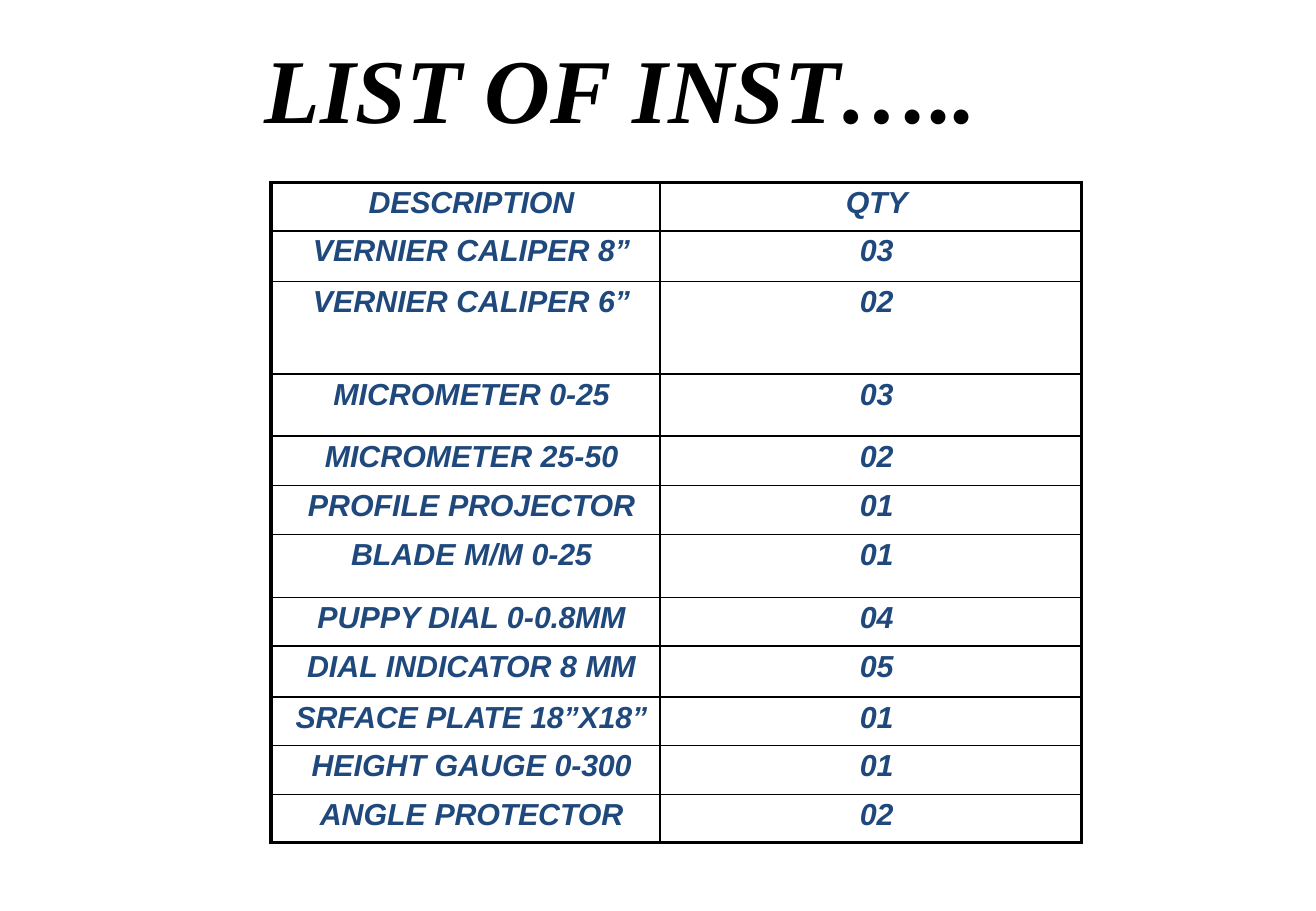
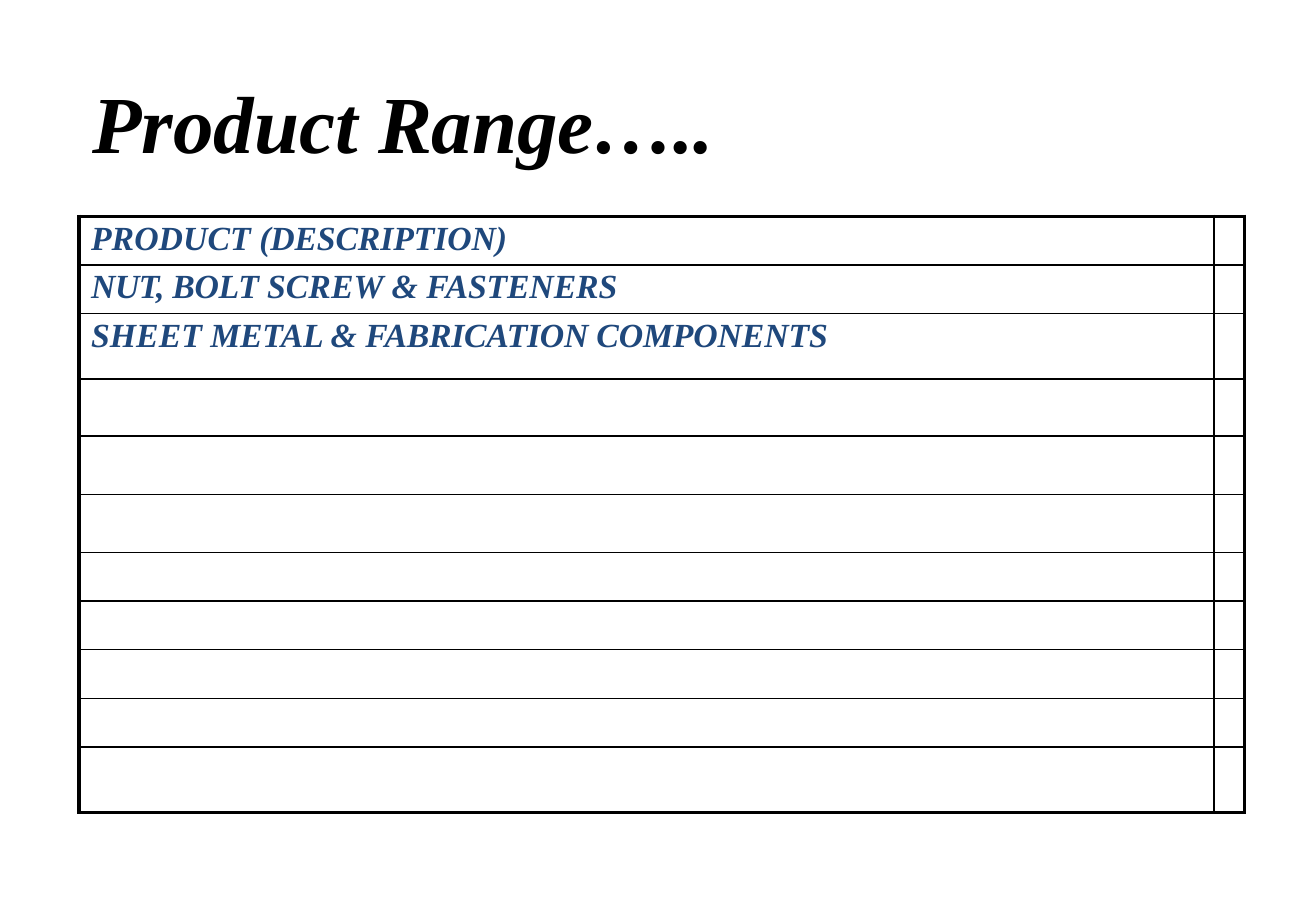
from pptx import Presentation
from pptx.dml.color import RGBColor
from pptx.enum.text import MSO_ANCHOR, PP_ALIGN
from pptx.oxml import parse_xml
from pptx.oxml.ns import nsdecls
from pptx.util import Pt

PX = 9144
BLACK = RGBColor(0x00, 0x00, 0x00)
NAVY = RGBColor(0x1F, 0x48, 0x7C)
SERIF = "Times New Roman"
SANS = "Arial"
OUTER_LINE, INNER_LINE = 2.25, 1

INSTRUMENTS = [
    (40, [("DESCRIPTION", -0.1)], "QTY"),
    (42, [("VERNIER CALIPER ", 0), ("8”", -0.2)], "03"),
    (76, [("VERNIER CALIPER ", 0), ("6”", -0.2)], "02"),
    (51, [("MICROMETER ", 0), ("0-", -0.1), ("25", -0.2)], "03"),
    (41, [("MICROMETER 25-", 0), ("50", -0.2)], "02"),
    (40, [("PROFILE ", 0), ("PROJECTOR", -0.1)], "01"),
    (52, [("BLADE M/M ", 0), ("0-", -0.1), ("25", -0.2)], "01"),
    (40, [("PUPPY DIAL 0-", 0), ("0.8MM", -0.2)], "04"),
    (42, [("DIAL INDICATOR 8 ", 0), ("MM", -0.2)], "05"),
    (40, [("SRFACE ", -0.1), ("PLATE ", -0.2), ("18”X18”", -0.1)], "01"),
    (40, [("HEIGHT GAUGE ", 0), ("0-", -0.1), ("300", -0.2)], "01"),
    (40, [("ANGLE ", 0), ("PROTECTOR", -0.1)], "02"),
]
PRODUCTS = [
    [("PRODUCT ", 0), ("(DESCRIPTION)", -0.1)],
    [("NUT, ", -0.3), ("BOLT ", -0.2), ("SCREW & ", 0), ("FASTENERS", -0.1)],
    [("SHEET ", 0), ("METAL ", -0.2), ("& ", 0), ("FABRICATION ", -0.2), ("COMPONENTS", -0.1)],
]
PRODUCT_HEIGHTS = [40, 40, 54, 47, 48, 48, 40, 40, 40, 40, 54]


def write_runs(paragraph, runs, font_name, size, color, indent, space_before):
    """Fill a paragraph with bold italic runs given as (text, letter spacing)."""
    paragraph._p.get_or_add_pPr().set("marL", str(indent * PX))
    paragraph.space_before = Pt(space_before)
    for text, spacing in runs:
        run = paragraph.add_run()
        run.text = text
        font = run.font
        font.name, font.size, font.bold, font.italic = font_name, Pt(size), True, True
        font.color.rgb = color
        run._r.get_or_add_rPr().set("spc", str(round(spacing * 100)))


def set_margins(target, top):
    """Keep only a top margin on a cell or text frame."""
    target.margin_left = target.margin_right = target.margin_bottom = 0
    target.margin_top = top * PX


def add_title(slide, left, top, width, height, size, runs):
    """Add a slide title."""
    frame = slide.shapes.add_textbox(left * PX, top * PX, width * PX, height * PX).text_frame
    frame.word_wrap = True
    frame.vertical_anchor = MSO_ANCHOR.MIDDLE
    set_margins(frame, 1)
    write_runs(frame.paragraphs[0], runs, SERIF, size, BLACK, 1, 1)


def set_borders(cell, outer_sides):
    """Draw all four cell borders, heavier on the table's outer sides."""
    properties = cell._tc.get_or_add_tcPr()
    for side in "LRTB":
        width = Pt(OUTER_LINE if side in outer_sides else INNER_LINE)
        properties.append(parse_xml(
            f'<a:ln{side} {nsdecls("a")} w="{width}"><a:solidFill>'
            f'<a:srgbClr val="{BLACK}"/></a:solidFill></a:ln{side}>'))


def add_grid(slide, left, top, widths, heights, rows, font_name, size, align):
    """Add a framed table; rows without content stay empty."""
    table = slide.shapes.add_table(len(heights), len(widths), left * PX, top * PX,
                                   sum(widths) * PX, sum(heights) * PX).table
    table.first_row = table.horz_banding = False
    for column, width in zip(table.columns, widths):
        column.width = width * PX
    last_row, last_column = len(heights) - 1, len(widths) - 1
    for i, height in enumerate(heights):
        table.rows[i].height = height * PX
        for j in range(len(widths)):
            cell = table.cell(i, j)
            edges = {"T": i == 0, "B": i == last_row, "L": j == 0, "R": j == last_column}
            set_borders(cell, [side for side, outer in edges.items() if outer])
            cell.fill.background()
            set_margins(cell, 3)
            if i < len(rows) and j < len(rows[i]):
                paragraph = cell.text_frame.paragraphs[0]
                paragraph.alignment = align
                write_runs(paragraph, rows[i][j], font_name, size, NAVY, 10, 2.5)


def main():
    """Build both slides and save them."""
    presentation = Presentation()
    presentation.slide_width, presentation.slide_height = 1083 * PX, 750 * PX
    blank = presentation.slide_layouts[6]

    slide = presentation.slides.add_slide(blank)
    add_grid(slide, 223, 150, [320, 347], [height for height, _, _ in INSTRUMENTS],
             [[runs, [(quantity, -0.2)]] for _, runs, quantity in INSTRUMENTS],
             SANS, 18, PP_ALIGN.CENTER)
    add_title(slide, 217, 25, 642, 92, 54, [("LIST OF ", 0), ("INST…..", -0.1)])

    slide = presentation.slides.add_slide(blank)
    add_grid(slide, 65, 178, [934, 25], PRODUCT_HEIGHTS, [[runs] for runs in PRODUCTS],
             SERIF, 20, PP_ALIGN.LEFT)
    add_title(slide, 75, 58, 975, 82, 48, [("Product ", 0), ("Range…..", -0.1)])

    presentation.save("out.pptx")


if __name__ == "__main__":
    main()
